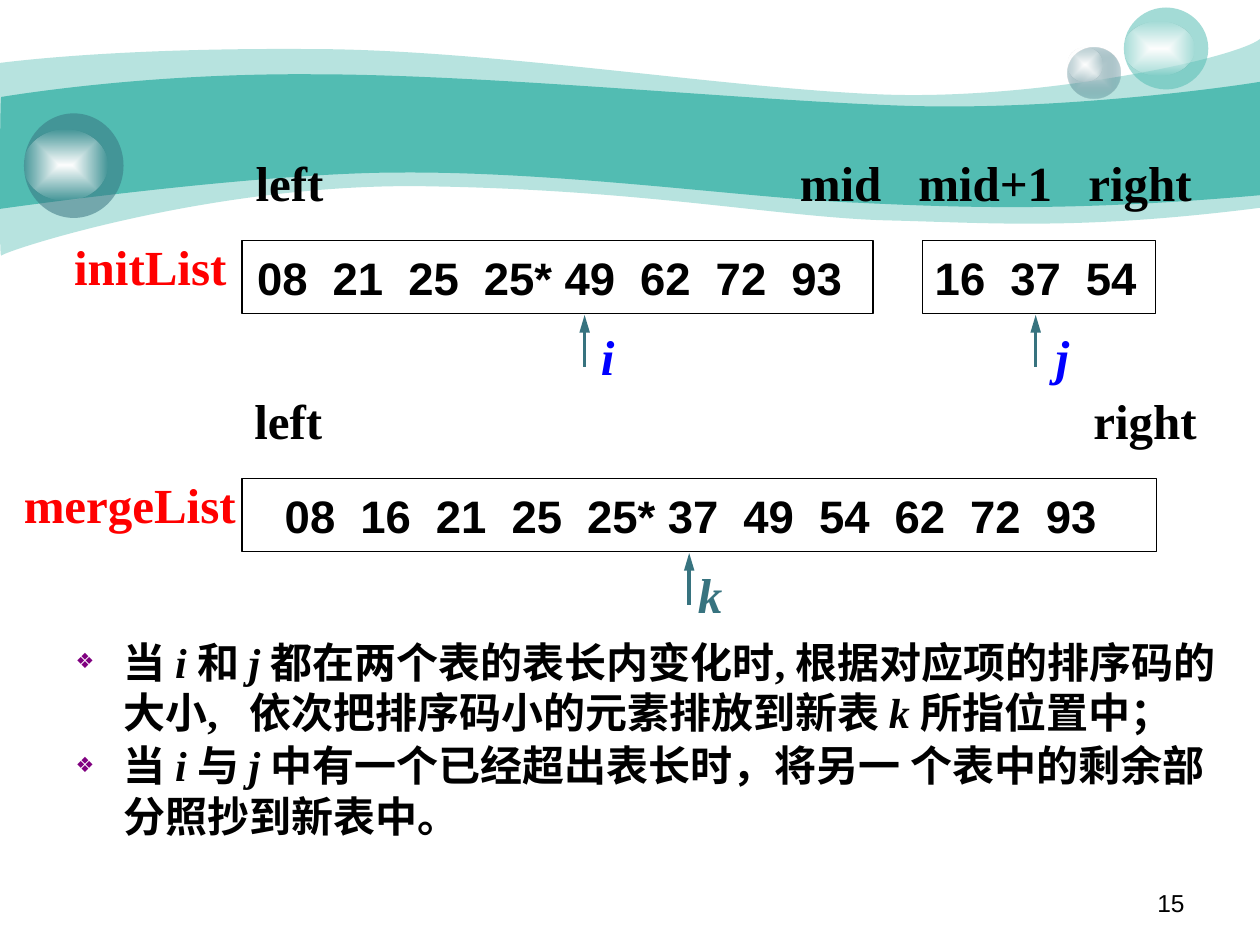
from itertools import accumulate

from pptx import Presentation
from pptx.dml.color import RGBColor
from pptx.enum.shapes import MSO_CONNECTOR, MSO_SHAPE
from pptx.enum.text import MSO_ANCHOR, MSO_AUTO_SIZE, PP_ALIGN
from pptx.oxml.ns import qn
from pptx.oxml.xmlchemy import OxmlElement
from pptx.util import Inches, Pt

BLACK = RGBColor(0, 0, 0)
WHITE = RGBColor(255, 255, 255)
RED = RGBColor(255, 0, 0)
BLUE = RGBColor(0, 0, 255)
PURPLE = RGBColor(0x80, 0, 0x80)
TEAL = RGBColor(0x52, 0xBC, 0xB2)
SLATE = RGBColor(0x37, 0x73, 0x7F)
PALE_SLATE = RGBColor(0xCC, 0xDB, 0xDE)

SERIF = "Times New Roman"
LABEL = {"name": SERIF, "size": Pt(28), "bold": True}
VALUE = {"name": "Arial", "size": Pt(26), "bold": True, "color": BLACK}
BODY = {"name": SERIF, "size": Pt(24), "bold": True, "color": BLACK}
INDEX_NAMES = ("i ", "j ", "k ")
WIDE_SPACE = " "

# Each wave is a start point and cubic curves; a lone point is a straight edge.
OUTER_WAVE = ((0, 0.5), [
    [(0.24, 0.47), (1.07, 0.38), (2.47, 0.39)],
    [(3.86, 0.39), (5.75, 0.7), (6.99, 0.75)],
    [(8.22, 0.8), (9.8, 0.47), (10, 0.31)],
    [(10, 1.65)],
    [(8.58, 1.83), (7.87, 1.77), (7.05, 1.75)],
    [(6.22, 1.73), (5.15, 1.51), (3.43, 1.48)],
    [(1.72, 1.44), (0.04, 1.99), (0.01, 2.03)],
    [(-0.01, 2.08), (0, 0.75), (0, 0.5)],
])
INNER_WAVE = ((0.01, 0.77), [
    [(0.02, 0.77), (1.1, 0.58), (2.48, 0.59)],
    [(3.86, 0.59), (5.95, 0.8), (7.18, 0.84)],
    [(8.41, 0.88), (9.76, 0.69), (10, 0.65)],
    [(10, 1.55)],
    [(8.53, 1.68), (7.65, 1.65), (6.82, 1.61)],
    [(5.99, 1.58), (4.47, 1.36), (3.17, 1.37)],
    [(2.03, 1.37), (-0.02, 1.66), (-0.01, 1.66)],
    [(0, 1.66), (0, 0.77), (0.01, 0.77)],
])


def add_child(parent, tag, **attributes):
    child = OxmlElement(tag)
    for key, value in attributes.items():
        child.set(key, str(value))
    parent.append(child)
    return child


def set_opacity(fill_element, percent):
    """Apply opacity to the last colour inside a fill element."""
    color = list(fill_element.iter(qn("a:srgbClr")))[-1]
    add_child(color, "a:alpha", val=percent * 1000)


def fill_solid(shape, color, opacity=100):
    shape.shadow.inherit = False
    shape.line.fill.background()
    shape.fill.solid()
    shape.fill.fore_color.rgb = color
    if opacity < 100:
        set_opacity(shape._element.spPr.find(qn("a:solidFill")), opacity)


def fill_glow(shape, center, edge, edge_opacity):
    """Fill from the centre outwards, fading towards the edge."""
    shape.shadow.inherit = False
    shape.line.fill.background()
    shape.fill.gradient()
    for stop, color in zip(shape.fill.gradient_stops, (center, edge)):
        stop.color.rgb = color
    gradient = shape._element.spPr.find(qn("a:gradFill"))
    set_opacity(gradient, edge_opacity)
    gradient.remove(gradient.find(qn("a:lin")))
    rect = add_child(gradient, "a:path", path="rect")
    add_child(rect, "a:fillToRect", l=50000, t=50000, r=50000, b=50000)


def bend_edges(shape, curves):
    """Merge the three straight edges of each cubic curve into one curve."""
    edges = iter(list(shape._element.iter(qn("a:lnTo"))))
    for controls in curves:
        group = [next(edges) for _ in controls]
        if len(group) == 3:
            curve = OxmlElement("a:cubicBezTo")
            group[0].addprevious(curve)
            for edge in group:
                curve.append(edge[0])
                edge.getparent().remove(edge)


def add_wave(slide, wave, opacity=100):
    start, curves = wave
    outline = [start] + [point for controls in curves for point in controls]
    points = [(Inches(x), Inches(y)) for x, y in outline]
    builder = slide.shapes.build_freeform(*points[0])
    builder.add_line_segments(points[1:], close=True)
    shape = builder.convert_to_shape()
    bend_edges(shape, curves)
    fill_solid(shape, TEAL, opacity)


def add_preset(slide, kind, box):
    return slide.shapes.add_shape(kind, *map(Inches, box))


def add_bubble(slide, ball, shine, color=None):
    body = add_preset(slide, MSO_SHAPE.OVAL, ball)
    if color is None:
        fill_glow(body, PALE_SLATE, SLATE, 31)
    else:
        fill_solid(body, color, 53)
    fill_glow(add_preset(slide, MSO_SHAPE.OVAL, shine), WHITE, WHITE, 0)


def format_font(font, style):
    for key, value in style.items():
        if key == "color":
            font.color.rgb = value
        else:
            setattr(font, key, value)


def write_line(frame, words, stops, style):
    """Write the words on one line, each after the first at its tab stop."""
    paragraph = frame.paragraphs[0]
    paragraph.alignment = PP_ALIGN.LEFT
    frame.margin_right = 0
    if stops:
        tabs = add_child(paragraph._p.get_or_add_pPr(), "a:tabLst")
        for stop in stops:
            add_child(tabs, "a:tab", pos=Inches(stop), algn="l")
    run = paragraph.add_run()
    run.text = "\t".join(words)
    format_font(run.font, style)


def add_label(slide, box, words, color, stops=(), **extra):
    frame = slide.shapes.add_textbox(*map(Inches, box)).text_frame
    frame.word_wrap = bool(stops)
    write_line(frame, words, stops, {**LABEL, "color": color, **extra})
    return frame


def add_list_box(slide, box, values, inset):
    cells = add_preset(slide, MSO_SHAPE.RECTANGLE, box)
    fill_solid(cells, WHITE)
    cells.line.color.rgb = BLACK
    cells.line.width = Pt(0.75)
    frame = cells.text_frame
    frame.vertical_anchor = MSO_ANCHOR.MIDDLE
    frame.margin_left = Inches(inset)
    widths = [0.64 if value.endswith("*") else 0.6 for value in values[:-1]]
    write_line(frame, values, list(accumulate(widths)), VALUE)


def add_index_arrow(slide, x, bottom, top):
    arrow = slide.shapes.add_connector(
        MSO_CONNECTOR.STRAIGHT, *map(Inches, (x, bottom, x, top)))
    arrow.line.color.rgb = SLATE
    arrow.line.width = Pt(2)
    add_child(arrow.line._get_or_add_ln(), "a:tailEnd", type="triangle", len="lg")
    add_child(arrow._element.spPr, "a:effectLst")


def write_rules(body, box, rules):
    body.left, body.top, body.width, body.height = map(Inches, box)
    frame = body.text_frame
    frame.auto_size = MSO_AUTO_SIZE.NONE
    for number, pieces in enumerate(rules):
        paragraph = frame.add_paragraph() if number else frame.paragraphs[0]
        properties = paragraph._p.get_or_add_pPr()
        properties.set("marL", str(Inches(0.38)))
        properties.set("indent", str(Inches(-0.38)))
        add_child(add_child(properties, "a:buClr"), "a:srgbClr", val=PURPLE)
        add_child(properties, "a:buSzPct", val=50000)
        add_child(properties, "a:buChar", char="❖")
        paragraph.space_before = Pt(1.5 if number else 0)
        for piece in pieces:
            run = paragraph.add_run()
            run.text = piece
            format_font(run.font, {**BODY, "italic": piece in INDEX_NAMES})
            if piece == WIDE_SPACE:
                run._r.get_or_add_rPr().set("spc", "1200")


def main():
    deck = Presentation()
    deck.slide_width, deck.slide_height = Inches(10), Inches(7.5)
    slide = deck.slides.add_slide(deck.slide_layouts[1])
    title, body = slide.placeholders
    title._element.getparent().remove(title._element)

    add_wave(slide, OUTER_WAVE, 41)
    add_wave(slide, INNER_WAVE)
    add_bubble(slide, (8.47, 0.38, 0.42, 0.4), (8.47, 0.38, 0.28, 0.27))
    add_bubble(slide, (8.92, 0.06, 0.67, 0.65), (8.92, 0.17, 0.56, 0.43), TEAL)
    add_bubble(slide, (0.19, 0.9, 0.79, 0.83), (0.19, 1.03, 0.66, 0.56), SLATE)

    add_list_box(slide, (1.92, 1.91, 5.01, 0.58), "08 21 25 25* 49 62 72 93".split(), 0.12)
    add_list_box(slide, (7.32, 1.91, 1.85, 0.58), "16 37 54".split(), 0.1)
    add_label(slide, (1.93, 1.16, 7.64, 0.57), ["left", "mid", "mid+1", "right"],
              BLACK, (4.32, 5.26, 6.61))
    add_label(slide, (0.49, 1.83, 1.41, 0.57), ["initList"], RED)
    add_label(slide, (4.67, 2.54, 3.91, 0.57), ["i", "j"], BLUE, (3.61,), italic=True)

    add_list_box(slide, (1.92, 3.8, 7.26, 0.58),
                 "08 16 21 25 25* 37 49 54 62 72 93".split(), 0.34)
    add_label(slide, (1.92, 3.05, 7.67, 0.57), ["left", "right"], BLACK, (6.66,))
    add_label(slide, (0.09, 3.72, 1.88, 0.57), ["mergeList"], RED)
    add_label(slide, (5.44, 4.43, 0.39, 0.57), ["k"], SLATE, italic=True)

    for x, top in ((4.64, 2.5), (8.22, 2.5), (5.47, 4.39)):
        add_index_arrow(slide, x, top + 0.41, top)

    write_rules(body, (0.5, 5, 9.25, 2.17), [
        ["当 ", "i ", "和 ", "j ",
         "都在两个表的表长内变化时, 根据对应项的排序码的大小,", WIDE_SPACE,
         "依次把排序码小的元素排放到新表 ", "k ", "所指位置中；"],
        ["当 ", "i ", "与 ", "j ",
         "中有一个已经超出表长时，将另一 个表中的剩余部分照抄到新表中。"],
    ])
    page = add_label(slide, (7.17, 7, 2.33, 0.35), ["15"], BLACK,
                     name="Arial", size=Pt(14), bold=False)
    page.word_wrap = True
    page.margin_right = Inches(0.1)
    page.paragraphs[0].alignment = PP_ALIGN.RIGHT
    deck.save("out.pptx")


if __name__ == "__main__":
    main()
